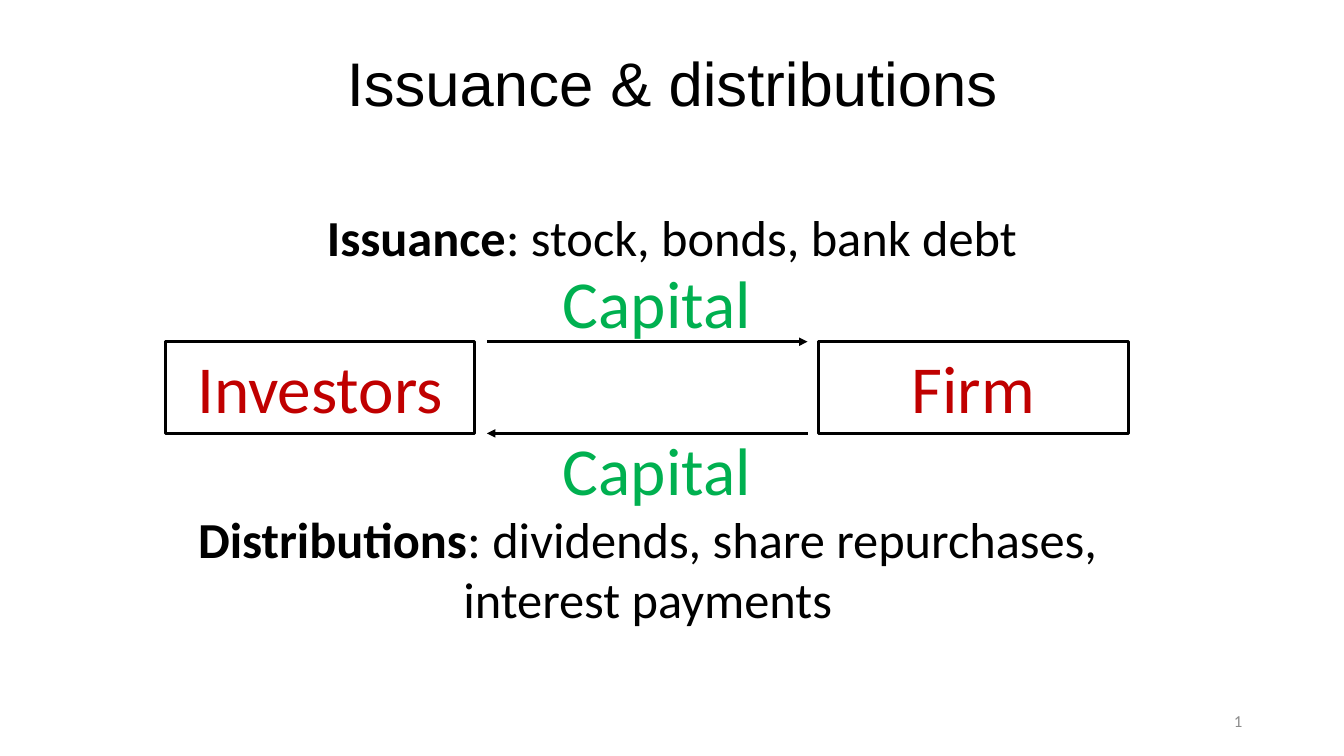
from lxml import etree
from pptx import Presentation
from pptx import util as u
from pptx.dml.color import RGBColor
from pptx.enum import shapes, text
from pptx.oxml.ns import qn

WIDTH, HEIGHT = u.Inches(13.33), u.Inches(7.5)
BLACK, RED, GREEN, GREY = "000000", "C00000", "00B050", "8C8C8C"
BOX_TOP, BOX_WIDTH, BOX_HEIGHT = 45.2, 23.03, 12.13
BOX_BOTTOM = BOX_TOP + BOX_HEIGHT
ARROW_LEFT, ARROW_RIGHT = 36.23, 60.09


def color(value):
    return RGBColor.from_string(value)


def across(percent):
    return round(WIDTH * percent / 100)


def down(percent):
    return round(HEIGHT * percent / 100)


def place(left, top, width, height):
    return across(left), down(top), across(width), down(height)


def write(box, words, bold="", size=48, font="Calibri", fill=BLACK,
          align=text.PP_ALIGN.CENTER, anchor=text.MSO_ANCHOR.TOP,
          spacing=1.0, grow=True):
    frame = box.text_frame
    frame.word_wrap = True
    frame.vertical_anchor = anchor
    if grow:
        frame.auto_size = text.MSO_AUTO_SIZE.SHAPE_TO_FIT_TEXT
    para = frame.paragraphs[0]
    para.alignment = align
    para.line_spacing = spacing
    for part, is_bold in ((bold, True), (words, False)):
        if part:
            span = para.add_run()
            span.text = part
            span.font.name = font
            span.font.size = u.Pt(size)
            span.font.bold = is_bold
            span.font.color.rgb = color(fill)


def add_label(page, area, words, **style):
    write(page.shapes.add_textbox(*place(*area)), words, **style)


def add_party(page, left, name):
    area = place(left, BOX_TOP, BOX_WIDTH, BOX_HEIGHT)
    box = page.shapes.add_shape(shapes.MSO_SHAPE.RECTANGLE, *area)
    box.shadow.inherit = False
    box.fill.background()
    box.line.color.rgb = color(BLACK)
    box.line.width = u.Pt(2)
    write(box, name, fill=RED)


def add_arrow(page, start, end, row):
    arrow = page.shapes.add_connector(
        shapes.MSO_CONNECTOR.STRAIGHT,
        across(start), down(row), across(end), down(row))
    arrow.line.color.rgb = color(BLACK)
    arrow.line.width = u.Pt(2)
    etree.SubElement(arrow.line._get_or_add_ln(), qn("a:tailEnd"), type="triangle")
    etree.SubElement(arrow._element.spPr, qn("a:effectLst"))


def main():
    deck = Presentation()
    deck.slide_width, deck.slide_height = WIDTH, HEIGHT
    page = deck.slides.add_slide(deck.slide_layouts[6])

    add_label(page, (6.9, 5.33, 86.27, 12.13), "Issuance & distributions",
              size=44, font="Arial", anchor=text.MSO_ANCHOR.MIDDLE,
              spacing=0.9, grow=False)

    for left, name in ((12.3, "Investors"), (60.92, "Firm")):
        add_party(page, left, name)

    add_arrow(page, ARROW_LEFT, ARROW_RIGHT, BOX_TOP)
    add_arrow(page, ARROW_RIGHT, ARROW_LEFT, BOX_BOTTOM)

    for area in ((40.21, 33.87, 17.33, 12.13), (41.11, 56, 15.53, 12.13)):
        add_label(page, area, "Capital", fill=GREEN)

    add_label(page, (22.06, 26.67, 55.89, 9.47), ": stock, bonds, bank debt",
              bold="Issuance", size=36)
    add_label(page, (12.9, 66.53, 70.59, 17.47),
              ": dividends, share repurchases, interest payments",
              bold="Distributions", size=36)
    add_label(page, (70.67, 92.67, 22.51, 5.33), "1", size=12, fill=GREY,
              align=text.PP_ALIGN.RIGHT, anchor=text.MSO_ANCHOR.MIDDLE,
              grow=False)

    deck.save("out.pptx")


if __name__ == "__main__":
    main()
